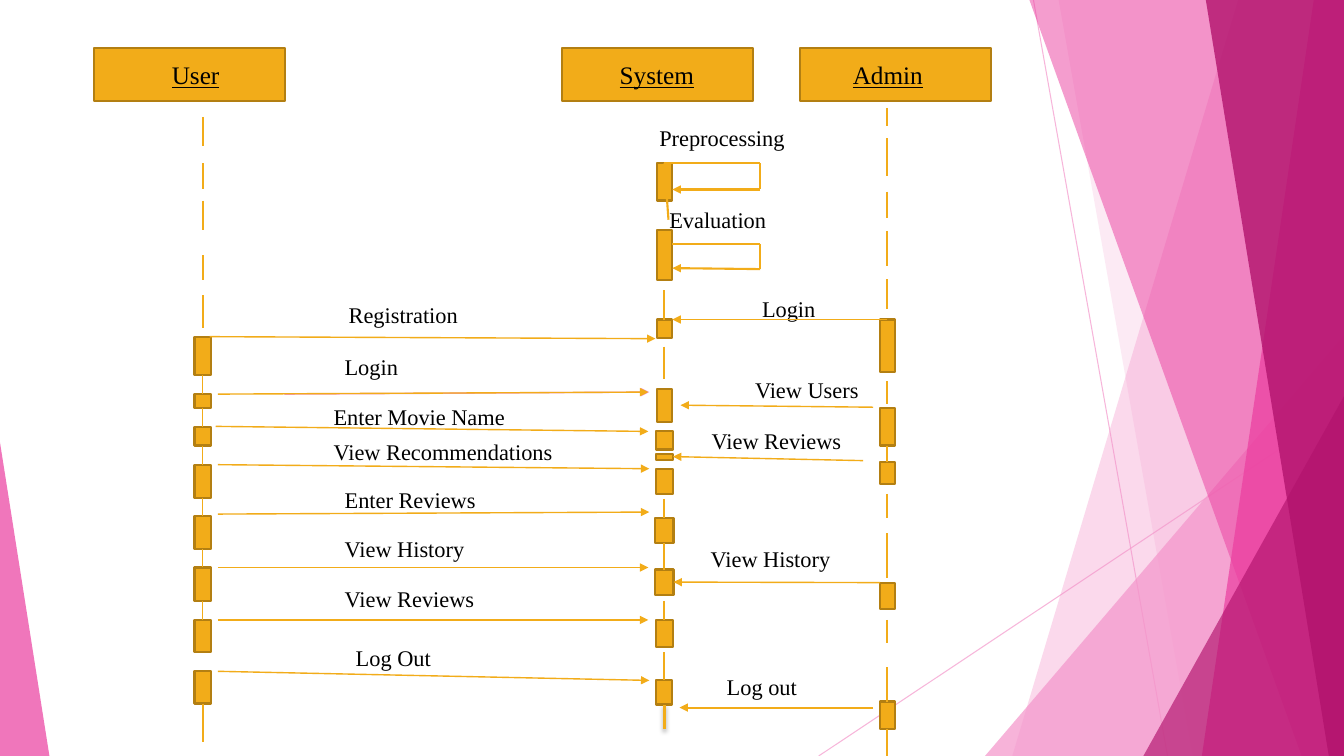
"""Build a sequence diagram of user, system and admin interactions."""
from dataclasses import dataclass

import pptx
import pptx.dml.color
import pptx.enum.shapes
import pptx.enum.text
import pptx.oxml
import pptx.oxml.ns
import pptx.util
from pptx.dml.color import RGBColor
from pptx.util import Inches

BLACK = RGBColor(0x00, 0x00, 0x00)
WHITE = RGBColor(0xFF, 0xFF, 0xFF)
GOLD = RGBColor(0xF2, 0xAC, 0x19)
BROWN = RGBColor(0xB3, 0x7F, 0x12)
PINK = RGBColor(0xF4, 0x96, 0xCB)
ROSE = RGBColor(0xEB, 0x3D, 0x9F)
PLUM = RGBColor(0xB2, 0x13, 0x6D)
FONT = "Times New Roman"
WIDTH, HEIGHT = 13.33, 7.5
USER, SYSTEM, ADMIN = 2.01, 6.59, 8.8
SHAPE = pptx.enum.shapes.MSO_SHAPE


@dataclass(frozen=True)
class Bar:
    lane: float
    top: float
    height: float
    width: float = 0.16


@dataclass(frozen=True)
class Line:
    x1: float
    y1: float
    x2: float
    y2: float
    width: float = 1
    arrow: bool = False
    color: RGBColor = GOLD
    alpha: int = 100


@dataclass(frozen=True)
class Label:
    text: str
    left: float
    top: float
    width: float


@dataclass(frozen=True)
class Facet:
    top_x: float
    bottom_x: float
    color: RGBColor
    alpha: int


@dataclass(frozen=True)
class Corner:
    left: float
    top: float
    width: float
    apex: float
    color: RGBColor
    alpha: int


BACK_LINES = [Line(10.25, 0, 11.58, HEIGHT, 0.75, color=PINK, alpha=70),
              Line(WIDTH, 4.03, 8.12, HEIGHT, 0.75, color=PINK, alpha=70)]
BACK_SHAPES = [
    Facet(12.28, 10.04, PINK, 36), Facet(10.5, 11.83, PINK, 20),
    Corner(9.77, 3.33, 3.56, 1, PINK, 72),
    Facet(10.21, 12.91, ROSE, 50), Facet(13.03, 11.92, ROSE, 70),
    Facet(11.96, 13.18, PLUM, 80),
    Corner(11.34, 3.93, 1.99, 1, PLUM, 66), Corner(0, 4.39, 0.49, 0, ROSE, 70)]

HEADERS = [Bar(1.88, 0.48, 0.52, 1.89), Bar(6.52, 0.48, 0.52, 1.89),
           Bar(8.88, 0.48, 0.52, 1.89)]
TITLES = [Label("User", 1.3, 0.54, 1.28), Label("System", 5.78, 0.54, 1.47),
          Label("Admin", 8.16, 0.54, 1.29)]

BARS = [Bar(USER, top, height) for top, height in [
    (3.34, 0.38), (3.91, 0.14), (4.24, 0.18), (4.61, 0.33), (5.12, 0.33),
    (5.63, 0.33), (6.15, 0.32), (6.66, 0.32)]]
BARS += [Bar(SYSTEM, top, height, width) for top, height, width in [
    (1.62, 0.37, 0.15), (2.28, 0.5, 0.15), (3.17, 0.18, 0.15),
    (3.86, 0.33, 0.15), (4.28, 0.18, 0.17), (4.5, 0.06, 0.17),
    (4.65, 0.25, 0.17), (5.14, 0.25, 0.18), (5.65, 0.25, 0.18),
    (6.15, 0.27, 0.17), (6.75, 0.24, 0.16)]]
BARS += [Bar(ADMIN, top, height, 0.15) for top, height in [
    (3.17, 0.52), (4.05, 0.37), (4.58, 0.22), (5.78, 0.26), (6.96, 0.27)]]

EVALUATION = Label("Evaluation", 6.54, 2, 1.59)
LABELS = [
    Label("Preprocessing", 6.44, 1.18, 1.89), Label("Login", 7.46, 2.88, 1.1),
    Label("Registration", 3.36, 2.94, 3.35), Label("Login", 3.32, 3.45, 1.23),
    Label("Enter Movie Name", 3.21, 3.95, 2.7),
    Label("View Recommendations", 3.21, 4.3, 3.01),
    Label("Enter Reviews", 3.32, 4.77, 3.62),
    Label("View History", 3.32, 5.26, 1.91),
    Label("View Reviews", 3.32, 5.76, 2.55),
    Label("Log Out", 3.43, 6.34, 2.32),
    Label("View Users", 7.39, 3.68, 2.35),
    Label("View Reviews", 6.96, 4.19, 2.79),
    Label("View History", 6.95, 5.36, 1.91),
    Label("Log out", 7.11, 6.63, 1.87)]

MESSAGES = [Line(2.82, 3.91, 6.44, 3.89, arrow=True, color=PINK)]
MESSAGES += [Line(*ends, arrow=True) for ends in [
    (2.08, 3.34, 6.5, 3.36), (2.16, 3.91, 6.43, 3.89), (2.14, 4.23, 6.43, 4.28),
    (2.16, 4.61, 6.44, 4.65), (2.16, 5.1, 6.44, 5.08), (2.16, 5.63, 6.43, 5.63),
    (2.16, 6.15, 6.43, 6.15), (2.16, 6.66, 6.44, 6.75),
    (ADMIN, 3.17, 6.67, 3.17), (8.66, 4.04, 6.75, 4.02),
    (8.56, 4.57, 6.68, 4.55), (8.73, 5.78, 6.68, 5.78)]]
MESSAGES += [Line(8.66, 7.02, 6.74, 7.02, 1.5, True)]

LOOPS = [
    Line(7.54, 1.62, SYSTEM, 1.62, 1.5), Line(7.54, 1.62, 7.54, 1.88, 1.5),
    Line(7.54, 1.88, 6.67, 1.88, 1.5, True), Line(SYSTEM, 1.62, 6.63, 2.18, 1.5),
    Line(6.67, 2.42, 7.54, 2.42, 1.5), Line(7.54, 2.42, 7.54, 2.67, 1.5),
    Line(7.54, 2.67, 6.67, 2.66, 1.5, True)]

DASHES = {
    (USER, 1): [(3.72, 3.91), (4.05, 4.24), (4.42, 4.61), (4.94, 5.12),
                (5.45, 5.63), (5.96, 6.15)],
    (USER, 1.5): [(1.16, 1.45), (1.62, 1.88), (1.99, 2.28), (2.53, 2.78),
                  (2.93, 3.25), (6.99, 7.36)],
    (SYSTEM, 1.5): [(2.88, 3.17), (3.44, 3.76), (4.95, 5.14), (5.38, 5.65),
                    (5.96, 6.15), (6.47, 6.75)],
    (ADMIN, 1.5): [(1.07, 1.25), (1.37, 1.75), (1.9, 2.16), (2.29, 2.64),
                   (2.77, 3.07), (3.78, 4.01), (4.42, 4.58), (4.9, 5.14),
                   (5.29, 5.73), (6.15, 6.38), (6.62, 6.96), (7.23, 7.5)]}


def add_xml(parent, xml: str) -> None:
    head, rest = xml.split(" ", 1)
    xmlns = pptx.oxml.ns.nsdecls("a")
    parent.append(pptx.oxml.parse_xml(f"{head} {xmlns} {rest}"))


def set_alpha(element, alpha: int) -> None:
    color = element.find(".//" + pptx.oxml.ns.qn("a:srgbClr"))
    add_xml(color, f'<a:alpha val="{alpha * 1000}" />')


def draw_bar(s, bar: Bar):
    sp = s.shapes.add_shape(
        SHAPE.RECTANGLE, Inches(bar.lane - bar.width / 2), Inches(bar.top),
        Inches(bar.width), Inches(bar.height))
    sp.shadow.inherit = False
    sp.fill.solid()
    sp.fill.fore_color.rgb = GOLD
    sp.line.color.rgb = BROWN
    sp.line.width = pptx.util.Pt(1.5)
    return sp


def find_site(bars: dict, x: float, y: float):
    for bar, sp in bars.items():
        half, middle = bar.width / 2, bar.top + bar.height / 2
        sites = [(bar.lane, bar.top), (bar.lane - half, middle),
                 (bar.lane, bar.top + bar.height), (bar.lane + half, middle)]
        for i, (site_x, site_y) in enumerate(sites):
            if max(abs(site_x - x), abs(site_y - y)) < 0.03:
                return sp, i
    return None


def draw_line(s, line: Line, bars: dict, effect: str = ""):
    c = s.shapes.add_connector(
        pptx.enum.shapes.MSO_CONNECTOR.STRAIGHT, Inches(line.x1),
        Inches(line.y1), Inches(line.x2), Inches(line.y2))
    c.line.color.rgb = line.color
    c.line.width = pptx.util.Pt(line.width)
    sp_pr = c._element.spPr
    if line.alpha < 100:
        set_alpha(sp_pr, line.alpha)
    if line.arrow:
        add_xml(c.line._get_or_add_ln(), '<a:tailEnd type="triangle" />')
    add_xml(sp_pr, f"<a:effectLst >{effect}</a:effectLst>")
    for join, x, y in [(c.begin_connect, line.x1, line.y1),
                       (c.end_connect, line.x2, line.y2)]:
        site = find_site(bars, x, y)
        if site:
            join(*site)


def draw_label(s, label: Label, title: bool = False):
    sp = s.shapes.add_textbox(Inches(label.left), Inches(label.top),
                              Inches(label.width), Inches(0.4 if title else 0.37))
    tf = sp.text_frame
    tf.word_wrap = True
    tf.auto_size = pptx.enum.text.MSO_AUTO_SIZE.SHAPE_TO_FIT_TEXT
    p = tf.paragraphs[0]
    align = pptx.enum.text.PP_ALIGN
    p.alignment = align.CENTER if title else align.LEFT
    r = p.add_run()
    r.text = label.text
    r.font.name = FONT
    r.font.size = pptx.util.Pt(18 if title else 16)
    r.font.underline = title
    r.font.color.rgb = BLACK
    return sp


def draw_backdrop(s, item: Facet | Corner) -> None:
    if isinstance(item, Facet):
        points = [(WIDTH, 0), (WIDTH, HEIGHT), (item.bottom_x, HEIGHT)]
        builder = s.shapes.build_freeform(Inches(item.top_x), 0)
        builder.add_line_segments([(Inches(x), Inches(y)) for x, y in points])
        sp = builder.convert_to_shape()
    else:
        sp = s.shapes.add_shape(
            SHAPE.ISOSCELES_TRIANGLE, Inches(item.left), Inches(item.top),
            Inches(item.width), Inches(HEIGHT - item.top))
        sp.adjustments[0] = item.apex
    sp.shadow.inherit = False
    sp.fill.solid()
    sp.fill.fore_color.rgb = item.color
    set_alpha(sp._element.spPr, item.alpha)
    sp.line.fill.background()


def main() -> None:
    prs = pptx.Presentation()
    prs.slide_width, prs.slide_height = Inches(WIDTH), Inches(HEIGHT)
    s = prs.slides.add_slide(prs.slide_layouts[6])
    for line in BACK_LINES:
        draw_line(s, line, {})
    for item in BACK_SHAPES:
        draw_backdrop(s, item)
    for header in HEADERS:
        draw_bar(s, header)
    for title in TITLES:
        draw_label(s, title, title=True)
    sp = draw_label(s, EVALUATION)
    sp.fill.solid()
    sp.fill.fore_color.rgb = WHITE
    bars = {bar: draw_bar(s, bar) for bar in BARS}
    for label in LABELS:
        draw_label(s, label)
    dashes = [Line(lane, top, lane, bottom, width)
              for (lane, width), spans in DASHES.items() for top, bottom in spans]
    for line in MESSAGES + LOOPS + dashes:
        draw_line(s, line, bars)
    draw_line(s, Line(SYSTEM, 7.23, SYSTEM, 6.99, 2), bars,
              '<a:outerShdw blurRad="38100" dist="25400" dir="5400000">'
              '<a:srgbClr val="000000"><a:alpha val="35000"/></a:srgbClr>'
              '</a:outerShdw>')
    prs.save("out.pptx")


if __name__ == "__main__":
    main()
